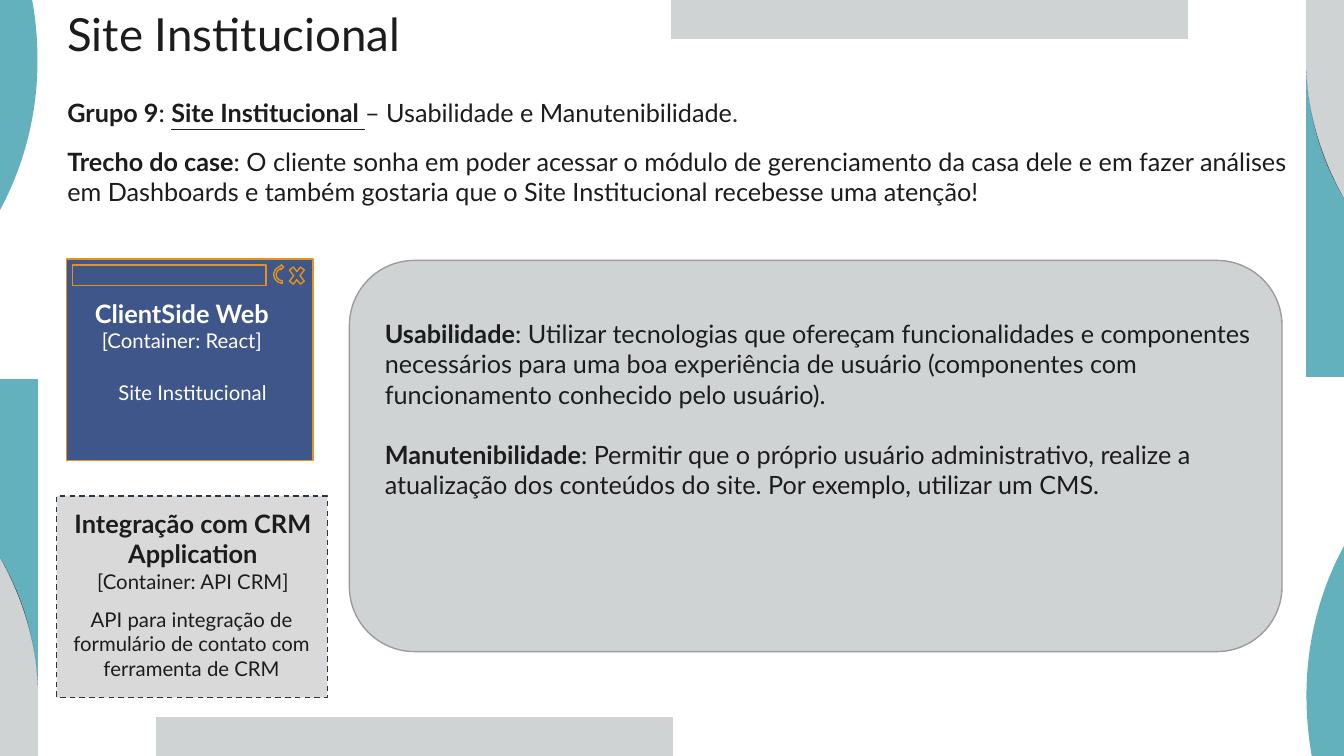
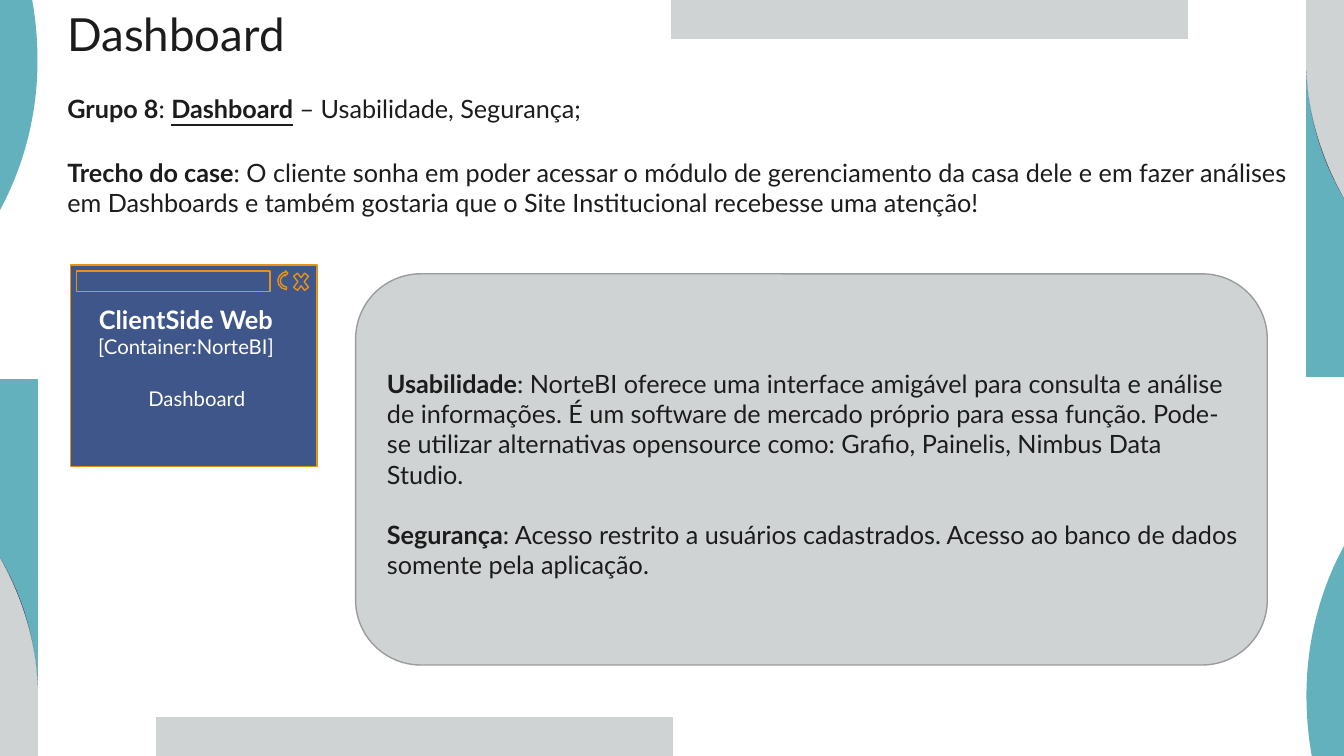
from dataclasses import dataclass
from typing import NamedTuple

import pptx
import pptx.dml.color
import pptx.enum.dml
import pptx.enum.shapes
import pptx.enum.text
import pptx.oxml.ns
import pptx.util
from lxml import etree

Pt = pptx.util.Pt
RGBColor = pptx.dml.color.RGBColor
MSO_SHAPE = pptx.enum.shapes.MSO_SHAPE
PP_ALIGN = pptx.enum.text.PP_ALIGN
qn = pptx.oxml.ns.qn

# Shared look
SLIDE_W, SLIDE_H = 960, 540
FONT = "Lato"
TEAL = RGBColor(0x63, 0xB1, 0xBC)
GREY = RGBColor(0xD0, 0xD3, 0xD4)
NAVY = RGBColor(0x1F, 0x2A, 0x44)
SLATE = RGBColor(0x25, 0x37, 0x46)
INK = RGBColor(0x1C, 0x1C, 0x1C)
WHITE = RGBColor(0xFF, 0xFF, 0xFF)
BLUE = RGBColor(0x3F, 0x56, 0x8B)
ORANGE = RGBColor(0xE5, 0x92, 0x17)
PANEL_LINE = RGBColor(0x9A, 0x9C, 0x9D)
BOX_GREY = RGBColor(0xD9, 0xD9, 0xD9)
TITLE_SIZE, BODY_SIZE, NAME_SIZE, NOTE_SIZE = 32.6, 18, 18.1, 14.5

Point = tuple[float, float]
# One point is a straight step; three are the handles and end of a curve
Step = list[Point]


class Rect(NamedTuple):
    x: float
    y: float
    w: float
    h: float

    def lengths(self) -> list[int]:
        return [Pt(v) for v in self]


class Run(NamedTuple):
    text: str
    bold: bool = False
    underline: bool = False
    size: float = BODY_SIZE
    color: RGBColor = INK


class Outline(NamedTuple):
    color: RGBColor
    steps: list[Step]


Paragraph = list[Run]


@dataclass
class Container:
    """A named container of the architecture, with its description."""
    x: float
    y: float
    name: str
    kind: str
    note: str


@dataclass
class Page:
    title: str
    intro_top: float
    intro_gap: float
    group: Paragraph
    panel: Rect
    detail: Rect
    qualities: list[Paragraph]
    window: Container
    integration: Container | None = None


# Edge decoration: each outline appears again after a half turn of the slide
RAIL_CURVE = [(945, 115.2), (934.6, 84.2), (933, 51.1)]
SEAM_CURVE = [(934.6, 83.5), (943.9, 114.5), (960, 141.7)]
DECORATION = [
    Outline(TEAL, [[(23, 0)], [(0, 0)], [(0, 150)],
                   [(17.3, 118), (26.8, 81.5), (26.8, 43.2)],
                   [(26.8, 28), (25.4, 13.5), (23, 0)]]),
    Outline(GREY, [[(479.3, 0)], [(848.4, 0)], [(848.4, 28)], [(479.3, 28)]]),
    Outline(TEAL, [[(933, 51.1)], [(933, 269.2)], [(960, 269.2)], [(960, 141.7)],
                   RAIL_CURVE]),
    Outline(GREY, [[(960, 141.7)], [(960, 0)], [(933, 0)], [(933, 50.4)], SEAM_CURVE]),
    Outline(NAVY, [[(933, 50.4)], SEAM_CURVE, RAIL_CURVE]),
]


def paint(sp, fill: RGBColor | None, line: RGBColor | None = None) -> None:
    sp.shadow.inherit = False
    if fill is None:
        sp.fill.background()
    else:
        sp.fill.solid()
        sp.fill.fore_color.rgb = fill
    if line is None:
        sp.line.fill.background()
    else:
        sp.line.color.rgb = line
        sp.line.width = Pt(1)


def add_box(s, preset, rect: Rect, fill: RGBColor | None, line: RGBColor):
    sp = s.shapes.add_shape(preset, *rect.lengths())
    paint(sp, fill, line)
    return sp


def add_outline(s, outline: Outline, turned: bool):
    steps = [[(Pt(SLIDE_W - x), Pt(SLIDE_H - y)) if turned else (Pt(x), Pt(y))
              for x, y in step] for step in outline.steps]
    builder = s.shapes.build_freeform(*steps[0][0])
    builder.add_line_segments([step[-1] for step in steps[1:]], close=True)
    sp = builder.convert_to_shape()
    paint(sp, outline.color)
    # Bend the steps that have handles
    for line, step in zip(list(sp.element.iter(qn("a:lnTo"))), steps[1:]):
        if len(step) == 3:
            curve = etree.Element(qn("a:cubicBezTo"))
            for x, y in step:
                etree.SubElement(curve, qn("a:pt"), x=str(x - sp.left), y=str(y - sp.top))
            line.getparent().replace(line, curve)
    return sp


def decorate_layout(s, layout) -> None:
    """Draw the edge shapes and hand them over to the layout."""
    for turned in (False, True):
        for outline in DECORATION:
            layout.shapes.element.append(add_outline(s, outline, turned).element)


def write(tf, paragraphs: list[Paragraph], align=PP_ALIGN.LEFT, gap: float = 0) -> None:
    """Fill a text frame; gap is the space between paragraphs."""
    frame_format = {
        "word_wrap": True,
        "auto_size": pptx.enum.text.MSO_AUTO_SIZE.NONE,
        "vertical_anchor": pptx.enum.text.MSO_ANCHOR.TOP,
    }
    for key, value in frame_format.items():
        setattr(tf, key, value)
    for i, runs in enumerate(paragraphs):
        p = tf.add_paragraph() if i else tf.paragraphs[0]
        p.alignment = align
        p.space_before = Pt(gap if i else 0)
        for run in runs:
            r = p.add_run()
            r.text = run.text
            font_format = {"name": FONT, "size": Pt(run.size),
                           "bold": run.bold, "underline": run.underline}
            for key, value in font_format.items():
                setattr(r.font, key, value)
            r.font.color.rgb = run.color


def add_text(s, rect: Rect, paragraphs: list[Paragraph],
             align=PP_ALIGN.LEFT, gap: float = 0) -> None:
    write(s.shapes.add_textbox(*rect.lengths()).text_frame, paragraphs, align, gap)


def place(sp, rect: Rect) -> None:
    for key, value in zip(("left", "top", "width", "height"), rect.lengths()):
        setattr(sp, key, value)


def add_labels(s, box: Container, heading: Rect, note: Rect, color: RGBColor) -> None:
    add_text(s, heading, [[Run(box.name, True, size=NAME_SIZE, color=color)],
                          [Run(box.kind, size=NOTE_SIZE, color=color)]], PP_ALIGN.CENTER)
    add_text(s, note, [[Run(box.note, size=NOTE_SIZE, color=color)]], PP_ALIGN.CENTER)


def add_window(s, box: Container) -> None:
    """Browser window with address bar, close and reload signs."""
    x, y = box.x, box.y
    add_box(s, MSO_SHAPE.RECTANGLE, Rect(x, y, 176, 144), BLUE, ORANGE)
    add_box(s, MSO_SHAPE.RECTANGLE, Rect(x + 4.3, y + 4.3, 138.2, 14.8), None, ORANGE)
    add_box(s, MSO_SHAPE.MATH_MULTIPLY, Rect(x + 157, y + 2.2, 15.1, 19.4), None, ORANGE)
    reload_sign = add_box(s, MSO_SHAPE.CIRCULAR_ARROW,
                          Rect(x + 147.4, y + 3.6, 14.4, 15.1), None, ORANGE)
    reload_sign.rotation = 275
    add_labels(s, box, Rect(x - 9.5, y + 24.2, 183.6, 46.8),
               Rect(x - 1.8, y + 82.8, 183.6, 25.2), WHITE)


def add_integration(s, box: Container) -> None:
    x, y = box.x, box.y
    sp = add_box(s, MSO_SHAPE.RECTANGLE, Rect(x, y, 193.4, 144), BOX_GREY, SLATE)
    sp.line.dash_style = pptx.enum.dml.MSO_LINE.DASH
    add_labels(s, box, Rect(x - 7, y + 5, 208.8, 69),
               Rect(x - 8, y + 75.8, 208.8, 59.8), INK)


def add_intro(sp, page: Page) -> None:
    place(sp, Rect(40.9, page.intro_top, 886.4, 100))
    write(sp.text_frame, [page.group, CASE], gap=page.intro_gap)
    for p in sp.text_frame.paragraphs:
        pPr = p._p.get_or_add_pPr()
        pPr.set("marL", "0")
        pPr.set("indent", "0")
        etree.SubElement(pPr, qn("a:buNone"))


def build_page(s, page: Page) -> None:
    title, intro = s.placeholders
    place(title, Rect(40.9, 5, 855.4, 54.7))
    write(title.text_frame, [[Run(page.title, size=TITLE_SIZE)]])
    title.text_frame.paragraphs[0].line_spacing = 0.9
    add_intro(intro, page)
    add_box(s, MSO_SHAPE.ROUNDED_RECTANGLE, page.panel, GREY, PANEL_LINE)
    add_text(s, page.detail, page.qualities, gap=21.6)
    add_window(s, page.window)
    if page.integration:
        add_integration(s, page.integration)


# Content
CASE = [
    Run("Trecho do case", True),
    Run(": O cliente sonha em poder acessar o módulo de gerenciamento da casa dele e em "
        "fazer análises em Dashboards e também gostaria que o Site Institucional "
        "recebesse uma atenção!"),
]
PAGES = [
    Page(
        "Site Institucional", 66.2, 13.3,
        [Run("Grupo 9", True), Run(": "), Run("Site Institucional ", True, True),
         Run("– Usabilidade e Manutenibilidade"), Run(".", color=SLATE)],
        Rect(249.6, 186, 666.2, 279.4), Rect(267.8, 223.9, 639.4, 160),
        [[Run("Usabilidade", True),
          Run(": Utilizar tecnologias que ofereçam funcionalidades e componentes "
              "necessários para uma boa experiência de usuário (componentes com "
              "funcionamento conhecido pelo usuário).")],
         [Run("Manutenibilidade", True),
          Run(": Permitir que o próprio usuário administrativo, realize a atualização "
              "dos conteúdos do site. Por exemplo, utilizar um CMS.")]],
        Container(47.5, 185, "ClientSide Web", "[Container: React]", "Site Institucional"),
        Container(40.4, 354.3, "Integração com CRM Application", "[Container: API CRM]",
                  "API para integração de formulário de contato com ferramenta de CRM"),
    ),
    Page(
        "Dashboard", 63, 24.1,
        [Run("Grupo 8", True), Run(": "), Run("Dashboard", True, True),
         Run(" – Usabilidade, Segurança;")],
        Rect(254, 195.6, 651.2, 279.4), Rect(269.3, 259.5, 622.8, 181.4),
        [[Run("Usabilidade", True),
          Run(": NorteBI oferece uma interface amigável para consulta e análise de "
              "informações. É um software de mercado próprio para essa função. Pode-se "
              "utilizar alternativas opensource como: Grafio, Painelis, Nimbus Data "
              "Studio.")],
         [Run("Segurança", True),
          Run(": Acesso restrito a usuários cadastrados. Acesso ao banco de dados "
              "somente pela aplicação.")]],
        Container(50.5, 189.4, "ClientSide Web", "[Container:NorteBI]", "Dashboard"),
    ),
]


def main() -> None:
    prs = pptx.Presentation()
    prs.slide_width, prs.slide_height = Pt(SLIDE_W), Pt(SLIDE_H)
    layout = prs.slide_layouts[1]
    slides = [prs.slides.add_slide(layout) for _ in PAGES]
    decorate_layout(slides[0], layout)
    for s, page in zip(slides, PAGES):
        build_page(s, page)
    prs.save("out.pptx")


if __name__ == "__main__":
    main()
